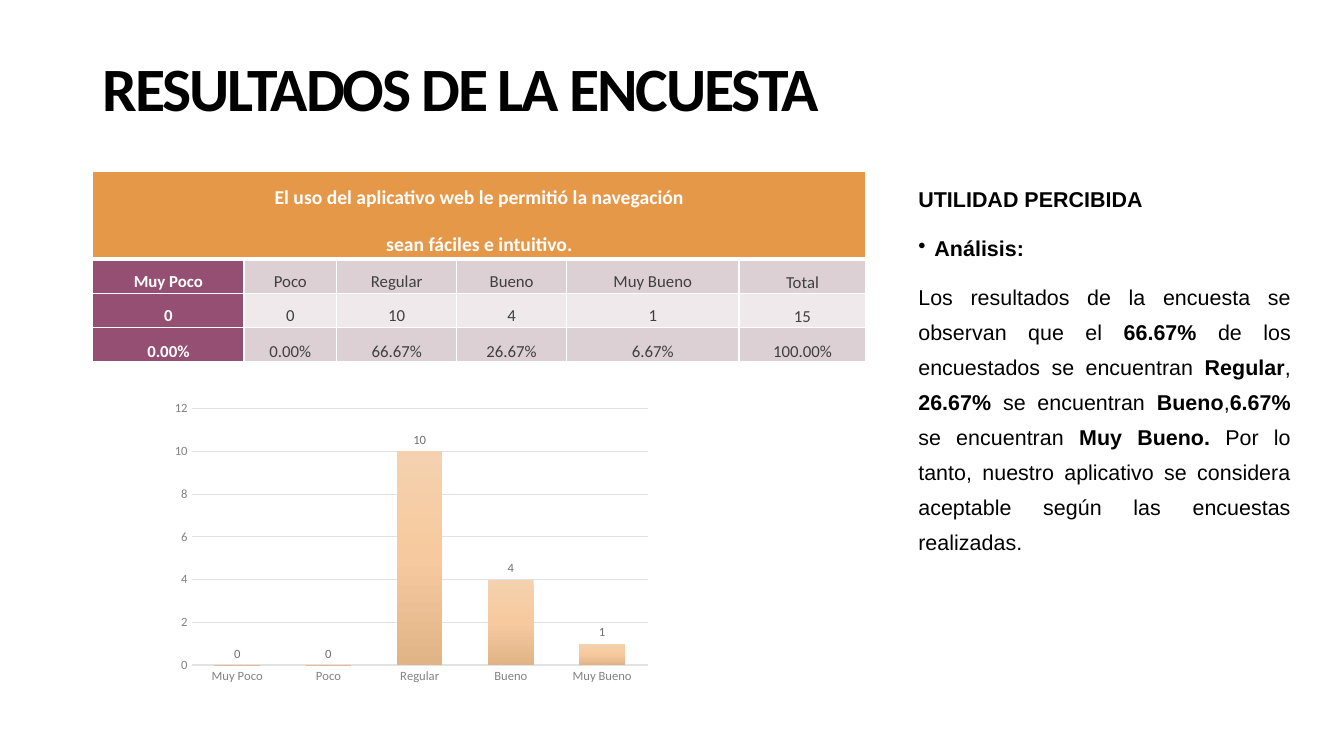
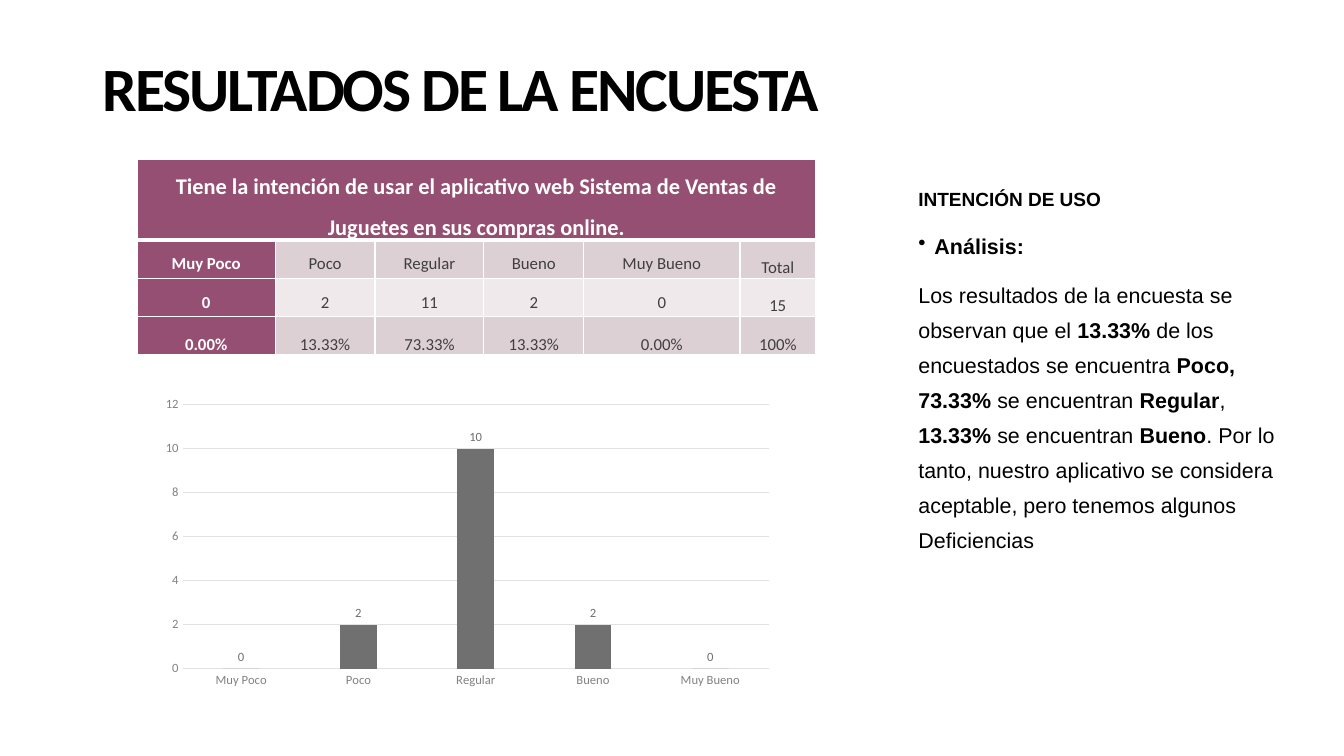
from pptx import Presentation
from pptx import util as u
from pptx.chart import data as cd
from pptx.dml.color import RGBColor
from pptx.enum import chart as ch, text as t
from pptx.oxml import parse_xml
from pptx.oxml.ns import nsdecls

PX = 9144
HUES = {
    "ink": "000000", "white": "FFFFFF", "gray": "3F3F3F", "plum": "954F72",
    "rose": "DDD0D5", "pale": "EFE9EB", "gold": "E69849", "axis": "828282",
    "grid": "E2E2E2", "label": "6F6F6F", "bar": "707070",
}
FADE = [(0, "F5D1AF"), (50, "F6CA9E"), (100, "E0B487")]
LEFT, MID = t.PP_ALIGN.LEFT, t.PP_ALIGN.CENTER
GRADES = ["Muy Poco", "Poco", "Regular", "Bueno", "Muy Bueno"]

PAGES = [
    {
        "topic": "UTILIDAD PERCIBIDA", "size": 15.3, "align": t.PP_ALIGN.JUSTIFY,
        "body": "Los resultados de la encuesta se observan que el **66.67% **de los "
                "encuestados se encuentran **Regular**,** 26.67%** se encuentran "
                "**Bueno**,**6.67%** se encuentran **Muy Bueno.** Por lo tanto, nuestro "
                "aplicativo se considera aceptable según las encuestas realizadas.",
        "head": ["El uso del aplicativo web le permitió la navegación",
                 "sean fáciles e intuitivo."],
        "hue": "gold", "pts": 14, "spot": (92, 170),
        "cols": [150, 92, 119, 109, 171, 126], "rows": [87, 34, 34, 34],
        "cells": [["0", "0", "10", "4", "1", "15"],
                  ["0.00%", "0.00%", "66.67%", "26.67%", "6.67%", "100.00%"]],
        "chart": (157, 390, 501, 302), "vals": [0, 0, 10, 4, 1],
        "gap": 100, "lap": -24, "line": 1, "fade": FADE,
        "plot": {"x": 0.066, "y": 0.051, "w": 0.903, "h": 0.843},
    },
    {
        "topic": "INTENCIÓN DE USO", "size": 13.6, "align": LEFT,
        "body": "Los resultados de la encuesta se observan que el **13.33% **de los "
                "encuestados se encuentra **Poco, 73.33% **se encuentran **Regular**,"
                "** 13.33% **se encuentran **Bueno**. Por lo tanto, nuestro aplicativo "
                "se considera aceptable, pero tenemos algunos Deficiencias",
        "head": ["Tiene la intención de usar el aplicativo web Sistema de Ventas de "
                 "Juguetes en sus compras online."],
        "hue": "plum", "pts": 16, "spot": (136, 158),
        "cols": [137, 99, 108, 99, 155, 75], "rows": [79, 38, 38, 38],
        "cells": [["0", "2", "11", "2", "0", "15"],
                  ["0.00%", "13.33%", "73.33%", "13.33%", "0.00%", "100%"]],
        "chart": (152, 388, 623, 300), "vals": [0, 2, 10, 2, 0],
        "gap": 219, "lap": -27, "line": 0.75, "fade": None, "plot": None,
    },
]


def tint(hue):
    return RGBColor.from_string(HUES[hue])


def say(frame, words, size=15.3, hue="ink", face="Arial", bold=False, align=LEFT,
        line=1.36, before=0, after=0, track=0, bullet=False):
    par = frame.paragraphs[0]
    if par.runs:
        par = frame.add_paragraph()
    par.alignment, par.line_spacing = align, line
    par.space_before, par.space_after = u.Pt(before), u.Pt(after)
    if bullet:
        props = par._p.get_or_add_pPr()
        props.set("marL", str(16 * PX))
        props.set("indent", str(-16 * PX))
        props.append(parse_xml(f'<a:buChar {nsdecls("a")} char="•"/>'))
    for i, part in enumerate(words.split("**")):
        if part:
            run = par.add_run()
            run.text = part
            run.font.size, run.font.name = u.Pt(size), face
            run.font.bold = bold or i % 2 == 1
            run.font.color.rgb = tint(hue)
            if track:
                run._r.get_or_add_rPr().set("spc", str(track))


deck = Presentation()
deck.slide_width, deck.slide_height = 1333 * PX, 750 * PX

for page in PAGES:
    slide = deck.slides.add_slide(deck.slide_layouts[6])
    frames = []
    for box in [(92, 40, 921, 101), (901, 185, 389, 363)]:
        frame = slide.shapes.add_textbox(*[n * PX for n in box]).text_frame
        frame.word_wrap = True
        frames.append(frame)
    title, side = frames
    title.vertical_anchor = t.MSO_ANCHOR.MIDDLE
    say(title, "RESULTADOS DE LA ENCUESTA", size=44, face="Calibri", bold=True,
        line=0.9, track=-150)
    say(side, page["topic"], size=page["size"], bold=True, line=0.8)
    say(side, "Análisis:", bold=True, before=10, bullet=True)
    say(side, page["body"], align=page["align"], before=10)

    wide, tall = sum(page["cols"]), sum(page["rows"])
    x, y = page["spot"]
    grid = slide.shapes.add_table(4, 6, x * PX, y * PX, wide * PX, tall * PX).table
    grid.first_row = grid.horz_banding = False
    for col, width in zip(grid.columns, page["cols"]):
        col.width = width * PX
    for row, height in zip(grid.rows, page["rows"]):
        row.height = height * PX
    grid.cell(0, 0).merge(grid.cell(0, 5))
    words = [[""] * 6, GRADES + ["Total"]] + page["cells"]
    for r in range(4):
        for c in range(6):
            cell = grid.cell(r, c)
            cell.margin_left = cell.margin_right = 5 * PX
            cell.margin_top = cell.margin_bottom = 0
            low = r == 3 or (c == 5 and r > 0)
            cell.vertical_anchor = t.MSO_ANCHOR.BOTTOM if low else t.MSO_ANCHOR.MIDDLE
            props = cell._tc.get_or_add_tcPr()
            for edge in "LRTB":
                thick = 3 if (r, edge) in [(0, "B"), (1, "T")] else 1
                props.append(parse_xml(
                    f'<a:ln{edge} {nsdecls("a")} w="{thick * 12700}"><a:solidFill>'
                    f'<a:srgbClr val="{HUES["white"]}"/></a:solidFill></a:ln{edge}>'))
            hue = page["hue"] if r == 0 else "plum" if c == 0 else ["pale", "rose"][r % 2]
            cell.fill.solid()
            cell.fill.fore_color.rgb = tint(hue)
            if r:
                say(cell.text_frame, words[r][c], size=12, face="Calibri", bold=c == 0,
                    hue="gray" if c else "white", align=MID, line=1.5, after=8)
    for text in page["head"]:
        say(grid.cell(0, 0).text_frame, text, size=page["pts"], face="Calibri",
            hue="white", bold=True, align=MID, line=1.5, after=8)

    data = cd.CategoryChartData()
    data.categories = GRADES
    data.add_series("Series 1", page["vals"])
    chart = slide.shapes.add_chart(ch.XL_CHART_TYPE.COLUMN_CLUSTERED,
                                   *[n * PX for n in page["chart"]], data).chart
    chart.has_legend = chart.has_title = False
    chart.font.size, chart.font.name = u.Pt(10), "Calibri"
    chart.font.color.rgb = tint("gray")
    plot = chart.plots[0]
    plot.vary_by_categories = False
    plot.gap_width, plot.overlap = page["gap"], page["lap"]
    plot.has_data_labels = True
    tags = plot.data_labels
    tags.show_value = True
    tags.position = ch.XL_LABEL_POSITION.OUTSIDE_END
    base, scale = chart.category_axis, chart.value_axis
    for part, hue in [(tags, "label"), (base.tick_labels, "axis"),
                      (scale.tick_labels, "axis")]:
        part.font.size, part.font.name = u.Pt(9), "Calibri"
        part.font.color.rgb = tint(hue)
    for axis in (base, scale):
        axis.major_tick_mark = axis.minor_tick_mark = ch.XL_TICK_MARK.NONE
    scale.minimum_scale, scale.maximum_scale, scale.major_unit = 0, 12, 2
    scale.has_major_gridlines = True
    scale.format.line.fill.background()
    for item, width in [(base, page["line"]), (scale.major_gridlines, 0.75)]:
        item.format.line.color.rgb = tint("grid")
        item.format.line.width = u.Pt(width)
    bars = plot.series[0]
    bars.invert_if_negative = False
    if page["fade"]:
        stops = "".join(f'<a:gs pos="{pos * 1000}"><a:srgbClr val="{hue}"/></a:gs>'
                        for pos, hue in page["fade"])
        bars._element.get_or_add_spPr().append(parse_xml(
            f'<a:gradFill {nsdecls("a")}><a:gsLst>{stops}</a:gsLst>'
            '<a:lin ang="5400000" scaled="0"/></a:gradFill>'))
    else:
        bars.format.fill.solid()
        bars.format.fill.fore_color.rgb = tint("bar")
    if page["plot"]:
        area = chart._chartSpace.chart.plotArea
        for old in area.findall("{*}layout"):
            area.remove(old)
        sides = "".join(f'<c:{k}Mode val="edge"/>' for k in "xy")
        sides += "".join(f'<c:{k} val="{v}"/>' for k, v in page["plot"].items())
        area.insert(0, parse_xml(
            f'<c:layout {nsdecls("c")}><c:manualLayout><c:layoutTarget val="inner"/>'
            f'{sides}</c:manualLayout></c:layout>'))

deck.save("out.pptx")
